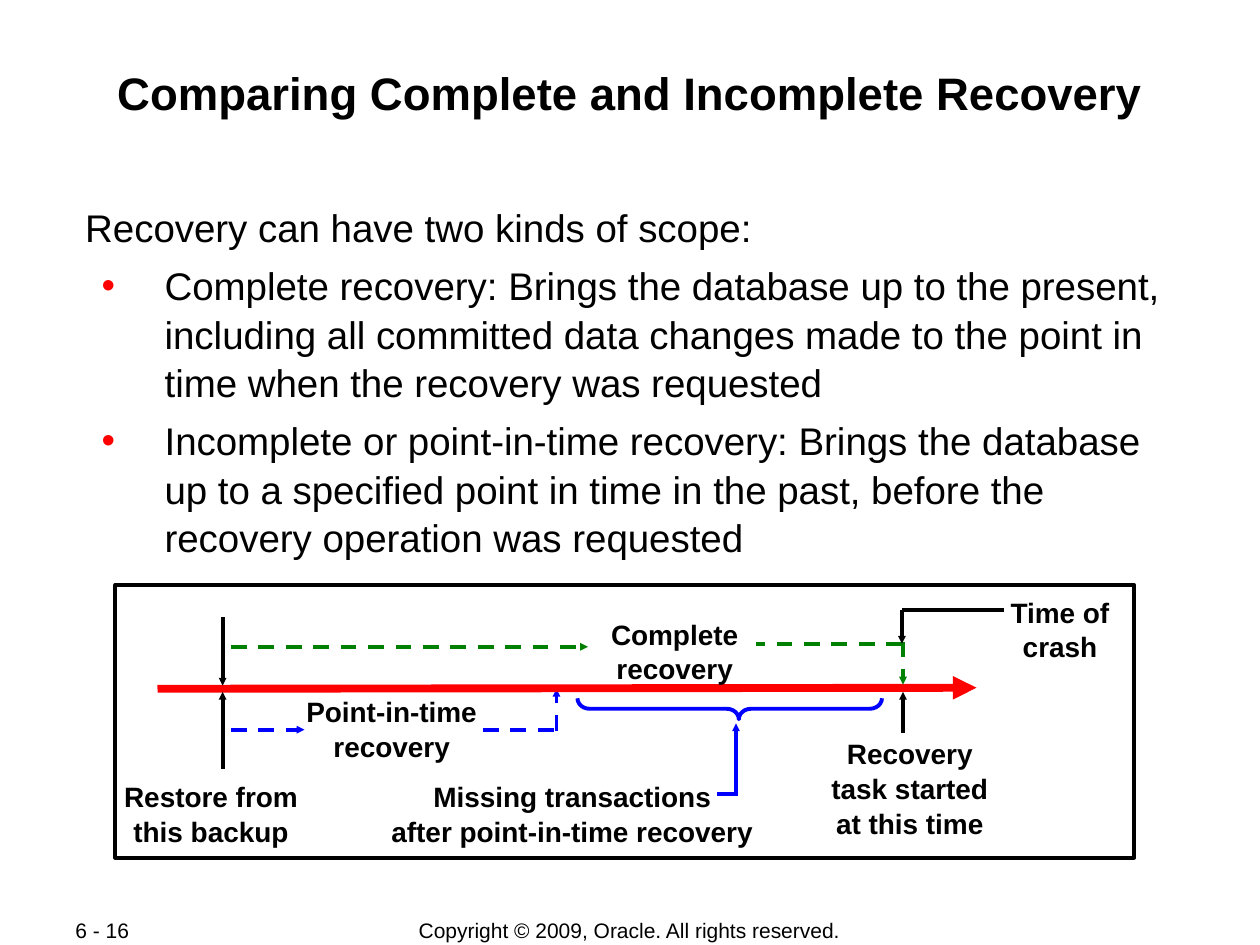
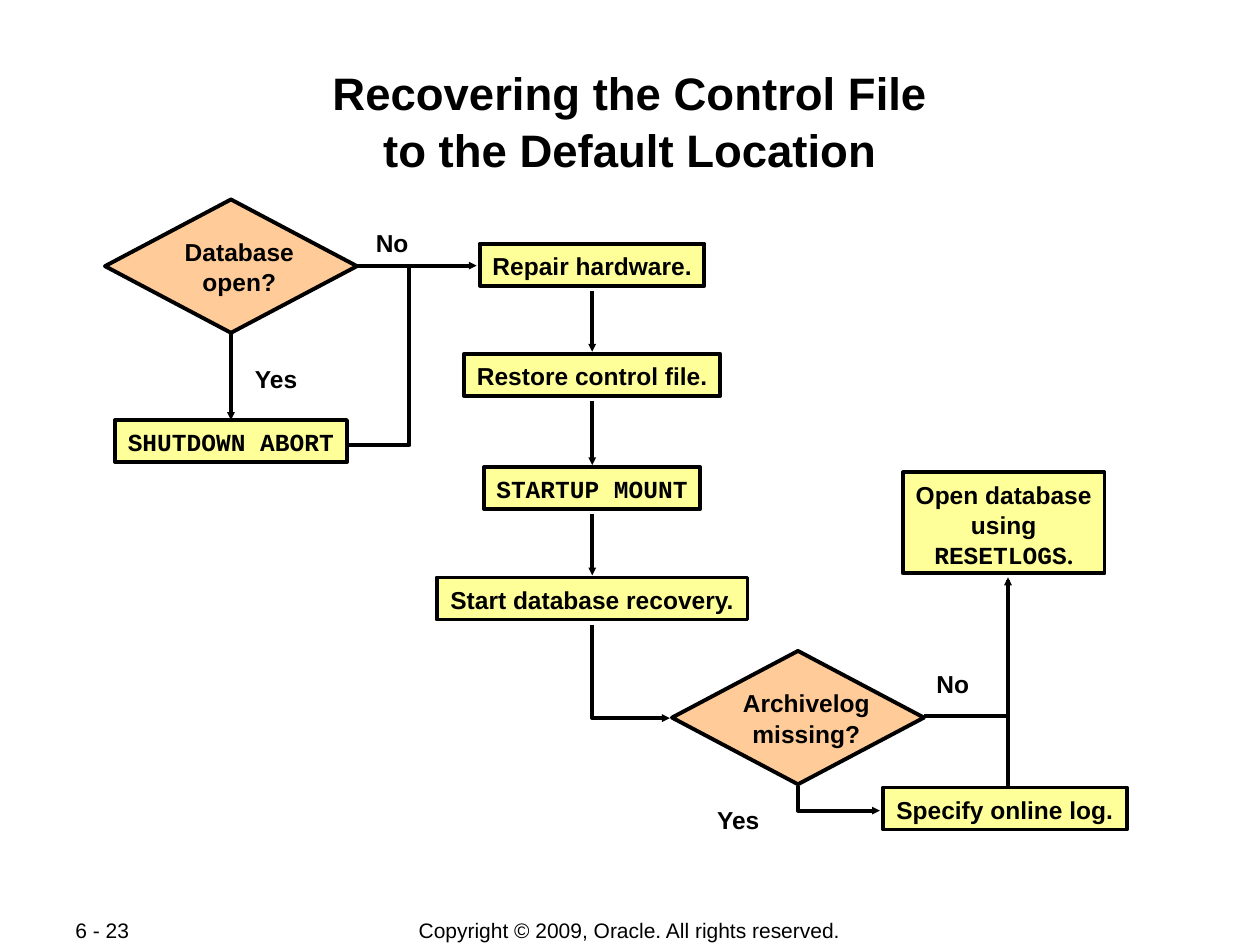
"""Build two slides on database recovery: a timeline and a flowchart."""
from dataclasses import dataclass
from itertools import pairwise
from typing import NamedTuple

from lxml import etree
from pptx import Presentation
from pptx import util as u
from pptx.dml.color import RGBColor
from pptx.enum import dml, shapes, text
from pptx.oxml import ns

KIND = shapes.MSO_SHAPE
LEFT, MID = text.PP_ALIGN.LEFT, text.PP_ALIGN.CENTER


@dataclass(frozen=True)
class Theme:
    """Colours, fonts, type sizes and line widths."""
    ink: str = "000000"
    red: str = "FF0000"
    blue: str = "0000FF"
    green: str = "008000"
    step: str = "FFFF99"
    test: str = "FFCC99"
    sans: str = "Arial"
    mono: str = "Courier New"
    serif: str = "Times New Roman"
    title: int = 26
    body: int = 22
    label: int = 16
    flow: int = 14
    foot: int = 12
    thin: float = 2.25
    thick: float = 4.5
    loose: float = 1.05
    snug: float = 1.03


class Box(NamedTuple):
    """A place on the grid: column, row, columns wide, rows high."""
    col: float
    row: float
    wide: float
    high: float


class Note(NamedTuple):
    """A text label and its place."""
    words: str
    box: Box


class Wire(NamedTuple):
    """A line through grid points."""
    pts: tuple[tuple[float, float], ...]
    hue: str
    head: bool = True
    dash: bool = False
    width: float = 2.25


class Step(NamedTuple):
    """A flowchart box, centred on a column."""
    words: str
    mid: float
    row: float
    wide: float
    high: float = 4
    font: str = "Arial"
    more: tuple[tuple[str, str], ...] = ()


T = Theme()
WIDE, HIGH = u.Inches(10), u.Inches(7.5)
COLS, ROWS = 120, 90
COPY = "Copyright © 2009, Oracle. All rights reserved."
INTRO = "Recovery can have two kinds of scope:"
SCOPES = (
    "Complete recovery: Brings the database up to the present, including all "
    "committed data changes made to the point in time when the recovery was requested",
    "Incomplete or point-in-time recovery: Brings the database up to a specified "
    "point in time in the past, before the recovery operation was requested",
)

FRAME = Box(11, 55.7, 97, 26)
BRACE = Box(68.5, 53, 2, 29)
NOTES = (
    Note("Recovery\ntask started\nat this time", Box(78, 69.5, 17.3, 10.8)),
    Note("Complete\nrecovery", Box(57, 58.1, 14.5, 7.7)),
    Note("Point-in-time\nrecovery", Box(28, 65.5, 18.6, 7.7)),
    Note("Missing transactions\nafter point-in-time recovery", Box(36.1, 73.6, 36.8, 7.7)),
    Note("Restore from\nthis backup", Box(10.6, 73.6, 19, 7.7)),
    Note("Time of\ncrash", Box(95, 56, 11.9, 7.7)),
)
SPANS = (
    Wire(((53, 69.6), (53, 65.6)), T.blue, dash=True),
    Wire(((70.2, 75.6), (68.3, 75.6)), T.blue, head=False),
    Wire(((15, 65.6), (93, 65.5)), T.red, width=T.thick),
    Wire(((86, 69.8), (86, 65.9)), T.ink),
    Wire(((86, 61.1), (86, 65.2)), T.green, dash=True),
    Wire(((85.9, 61.3), (72, 61.3)), T.green, head=False, dash=True),
    Wire(((22, 61.6), (56, 61.6)), T.green, dash=True),
    Wire(((22, 69.5), (29, 69.5)), T.blue, dash=True),
    Wire(((46, 69.5), (53, 69.5)), T.blue, head=False, dash=True),
    Wire(((70.1, 75.8), (70.1, 68.9)), T.blue),
    Wire(((21.2, 73.2), (21.2, 65.9)), T.ink),
    Wire(((21.2, 58.8), (21.2, 65.3)), T.ink),
    Wire(((85.9, 58.1), (95.6, 58.1)), T.ink, head=False),
    Wire(((85.9, 58.1), (85.9, 61.3)), T.ink),
)

SPINE = 56.4
CHAIN = (
    Step("Repair hardware.", SPINE, 23.2, 21.4),
    Step("Restore control file.", SPINE, 33.7, 24.4),
    Step("STARTUP MOUNT", SPINE, 44.5, 20.6, font=T.mono),
    Step("Start database recovery.", SPINE, 55, 29.6),
)
SIDE = (
    Step("SHUTDOWN ABORT", 22, 40, 22.1, font=T.mono),
    Step("Specify online log.", 95.7, 75, 23.2),
    Step("Open database\nusing\n", 95.6, 45, 19.2, 9.6,
         more=(("RESETLOGS", T.mono), (".", T.serif))),
)
TESTS = (
    Note("Database\nopen?", Box(10, 19, 24, 12.7)),
    Note("Archivelog\nmissing?", Box(64, 62, 24, 12.7)),
)
ROUTES = (
    Wire(((22, 31), (22, 40)), T.ink),
    Wire(((33.4, 25.3), (45.4, 25.3)), T.ink),
    Wire(((33, 42.4), (39, 42.4), (39, 25.3)), T.ink, head=False),
    Wire(((SPINE, 59.5), (SPINE, 68.4), (63.8, 68.4)), T.ink),
    Wire(((76, 74.9), (76, 77.2), (83.8, 77.2)), T.ink),
    Wire(((96, 75), (96, 55)), T.ink),
    Wire(((88, 68.2), (96, 68.2), (96, 55.2)), T.ink, head=False),
)
REPLIES = (
    Note("No", Box(34.6, 21, 5.5, 4)),
    Note("Yes", Box(23, 34, 6.6, 4)),
    Note("Yes", Box(67, 76, 6.6, 4)),
    Note("No", Box(88, 63, 5.5, 4)),
)


def spot(col: float, row: float) -> tuple[int, int]:
    """Turn a grid point into slide lengths."""
    return round(col * WIDE / COLS), round(row * HIGH / ROWS)


def area(box: Box) -> tuple[int, int, int, int]:
    """Turn a grid box into slide lengths."""
    return *spot(box.col, box.row), *spot(box.wide, box.high)


def style(para, size: float, bold: bool = False, font: str = T.sans,
          side=MID, lead: float = T.snug) -> None:
    """Format one paragraph."""
    para.alignment, para.line_spacing = side, lead
    para.font.size, para.font.bold, para.font.name = u.Pt(size), bold, font
    para.font.color.rgb = RGBColor.from_string(T.ink)


def pad(frame, x: float, y: float, wrap: bool, anchor=text.MSO_ANCHOR.TOP) -> None:
    """Set the insets, wrapping and anchor of a text frame."""
    frame.margin_left = frame.margin_right = u.Inches(x)
    frame.margin_top = frame.margin_bottom = u.Inches(y)
    frame.auto_size = text.MSO_AUTO_SIZE.NONE
    frame.word_wrap, frame.vertical_anchor = wrap, anchor


def write(slide, note: Note, size: float) -> None:
    """Add a bold, centred label."""
    frame = slide.shapes.add_textbox(*area(note.box)).text_frame
    pad(frame, 0.1, 0.05, False)
    frame.paragraphs[0].text = note.words
    style(frame.paragraphs[0], size, True)


def shape(slide, kind, box: Box, fill: str = "", hue: str = T.ink):
    """Add an outlined preset shape."""
    item = slide.shapes.add_shape(kind, *area(box))
    item.shadow.inherit = False
    if fill:
        item.fill.solid()
        item.fill.fore_color.rgb = RGBColor.from_string(fill)
    else:
        item.fill.background()
    item.line.color.rgb, item.line.width = RGBColor.from_string(hue), u.Pt(T.thin)
    return item


def draw(slide, wire: Wire) -> None:
    """Draw a straight or bent line, with its arrowhead if it has one."""
    pts = [spot(*pt) for pt in wire.pts]
    if len(pts) == 2:
        item = slide.shapes.add_connector(shapes.MSO_CONNECTOR.STRAIGHT, *pts[0], *pts[1])
    else:
        path = slide.shapes.build_freeform(*pts[0])
        path.add_line_segments(pts[1:], close=False)
        item = path.convert_to_shape()
        item.fill.background()
    item.line.color.rgb, item.line.width = RGBColor.from_string(wire.hue), u.Pt(wire.width)
    if wire.dash:
        item.line.dash_style = dml.MSO_LINE.DASH
    if wire.head:
        size = "med" if wire.width > T.thin else "sm"
        etree.SubElement(item.line._get_or_add_ln(), ns.qn("a:tailEnd"),
                         type="triangle", w=size, len=size)
    etree.SubElement(item._element.spPr, ns.qn("a:effectLst"))


def block(slide, step: Step) -> None:
    """Add a flowchart step with its words."""
    box = Box(step.mid - step.wide / 2, step.row, step.wide, step.high)
    frame = shape(slide, KIND.RECTANGLE, box, T.step).text_frame
    pad(frame, 0.1, 0.05, False)
    para = frame.paragraphs[0]
    para.text = step.words
    for words, font in step.more:
        run = para.add_run()
        run.text, run.font.name = words, font
    style(para, T.flow, True, step.font)


def start(deck, title: str, page: str):
    """Add a slide with its title, page number and copyright line."""
    slide = deck.slides.add_slide(deck.slide_layouts[5])
    head = slide.shapes.title
    head.left, head.top, head.width, head.height = area(Box(8, 5.8, 104, 11.5))
    pad(head.text_frame, 0.01, 0.01, True)
    head.text_frame.paragraphs[0].text = title
    style(head.text_frame.paragraphs[0], T.title, True, lead=T.loose)
    for words, box, side in ((COPY, Box(33, 87.3, 53.9, 2.5), MID),
                             (page, Box(6, 87.3, 12.7, 2.5), LEFT)):
        frame = slide.shapes.add_textbox(*area(box)).text_frame
        pad(frame, 0.1, 0.05, True, text.MSO_ANCHOR.MIDDLE)
        frame.text = words
        style(frame.paragraphs[0], T.foot, side=side, lead=1.0)
    return slide


def bullet(para) -> None:
    """Give a paragraph a red bullet and a hanging indent."""
    props = para._p.get_or_add_pPr()
    props.set("marL", str(u.Inches(0.63)))
    props.set("indent", str(u.Inches(-0.5)))
    tint = etree.SubElement(props, ns.qn("a:buClr"))
    etree.SubElement(tint, ns.qn("a:srgbClr"), val=T.red)
    etree.SubElement(props, ns.qn("a:buFont"), typeface=T.sans)
    etree.SubElement(props, ns.qn("a:buChar"), char="•")


def compare(deck) -> None:
    """Build the slide on the two scopes of recovery."""
    slide = start(deck, "Comparing Complete and Incomplete Recovery", "6 - 16")
    frame = slide.shapes.add_textbox(*area(Box(8, 19.1, 104, 33))).text_frame
    pad(frame, 0.01, 0.01, True)
    frame.text = INTRO
    style(frame.paragraphs[0], T.body, side=LEFT, lead=T.loose)
    for words in SCOPES:
        para = frame.add_paragraph()
        para.text = words
        bullet(para)
        para.space_before = u.Pt(5.5)
        style(para, T.body, side=LEFT, lead=T.loose)
    shape(slide, KIND.RECTANGLE, FRAME)
    for wire in SPANS:
        draw(slide, wire)
    brace = shape(slide, KIND.LEFT_BRACE, BRACE, hue=T.blue)
    brace.rotation = 270
    brace.adjustments[0], brace.adjustments[1] = 0.58, 0.53
    for note in NOTES:
        write(slide, note, T.label)


def recover(deck) -> None:
    """Build the flowchart for recovering the control file."""
    slide = start(deck, "Recovering the Control File\nto the Default Location", "6 - 23")
    for wire in ROUTES:
        draw(slide, wire)
    for one, two in pairwise(CHAIN):
        draw(slide, Wire(((SPINE, one.row + 4.5), (SPINE, two.row - 0.2)), T.ink))
    for step in CHAIN + SIDE:
        block(slide, step)
    for words, box in TESTS:
        shape(slide, KIND.FLOWCHART_DECISION, box, T.test)
        write(slide, Note(words, Box(box.col + 0.8, box.row + 2.9, box.wide, 6.8)), T.flow)
    for note in REPLIES:
        write(slide, note, T.flow)


def main() -> None:
    """Build and save the deck."""
    deck = Presentation()
    deck.slide_width, deck.slide_height = WIDE, HIGH
    compare(deck)
    recover(deck)
    deck.save("out.pptx")


if __name__ == "__main__":
    main()
